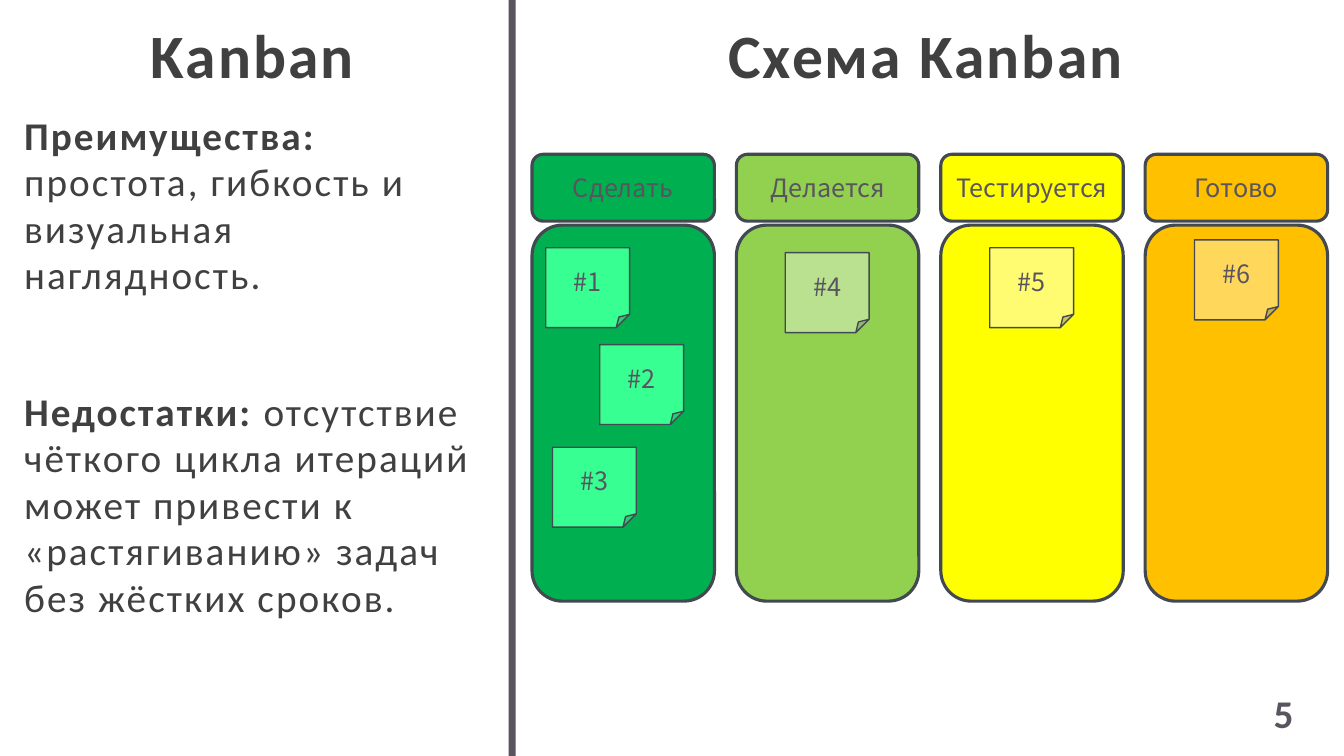
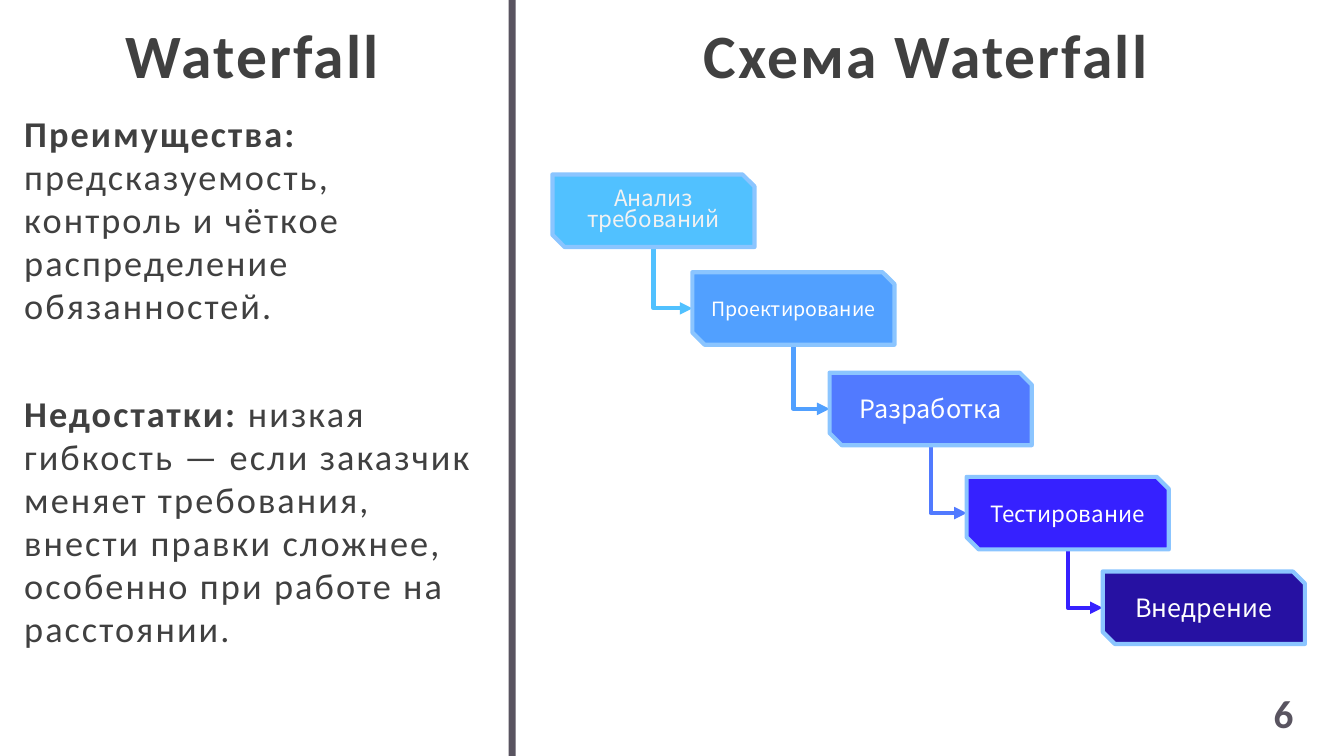
"""Builds two slides that compare the Kanban and Waterfall methods."""
from itertools import pairwise

from lxml import etree
from pptx import Presentation
from pptx.dml.color import RGBColor
from pptx.enum.shapes import MSO_CONNECTOR as Connector, MSO_SHAPE as Shape
from pptx.enum.text import MSO_ANCHOR as Anchor, MSO_AUTO_SIZE as AutoSize, PP_ALIGN as Align
from pptx.oxml.ns import qn
from pptx.util import Pt

DARK = RGBColor(0x40, 0x40, 0x40)
GREY = RGBColor(0x59, 0x54, 0x60)
OUTLINE = RGBColor(0x42, 0x49, 0x51)
WHITE = RGBColor(0xFF, 0xFF, 0xFF)
OFF_WHITE = RGBColor(0xF2, 0xF2, 0xF2)
PALE_BLUE = RGBColor(0x8B, 0xC5, 0xFF)
GREEN = RGBColor(0x00, 0xB0, 0x50)
LIME = RGBColor(0x92, 0xD0, 0x50)
YELLOW = RGBColor(0xFF, 0xFF, 0x00)
ORANGE = RGBColor(0xFF, 0xC0, 0x00)
GREEN_NOTE = RGBColor(0x37, 0xFF, 0x91)
LIME_NOTE = RGBColor(0xBA, 0xE1, 0x8F)
YELLOW_NOTE = RGBColor(0xFF, 0xFC, 0x71)
ORANGE_NOTE = RGBColor(0xFF, 0xD8, 0x5B)
SKY = RGBColor(0x51, 0xC1, 0xFF)
AZURE = RGBColor(0x51, 0xA0, 0xFF)
BLUE = RGBColor(0x51, 0x7A, 0xFF)
INDIGO = RGBColor(0x36, 0x21, 0xFF)
NAVY = RGBColor(0x26, 0x11, 0xA2)

HEADING = {"name": "Calibri", "size": Pt(44), "bold": True, "color": DARK}
BODY = {"name": "Calibri", "color": DARK}
NUMBER = {"name": "Calibri", "size": Pt(28), "bold": True, "color": GREY}
LABEL = {"name": "Noto Sans CJK JP", "size": Pt(18), "color": GREY}

TITLE_BOX = (8.64, 20.16, 343.44, 51.84)
SCHEME_BOX = (489.6, 20.16, 343.44, 51.84)
BODY_BOX = (8.64, 72, 343.44, 416.16)
NUMBER_BOX = (892.8, 488.9, 48.24, 41)
DIVIDER_BOX = (363.4, 0, 5, 540)

KANBAN = {
    "title": "Kanban", "scheme": "Схема Kanban", "number": "5", "size": 28, "gap": 58,
    "body": [
        ("Преимущества: ", "простота, гибкость и визуальная наглядность."),
        ("Недостатки: ", "отсутствие чёткого цикла итераций может привести к "
                         "«растягиванию» задач без жёстких сроков."),
    ],
}
WATERFALL = {
    "title": "Waterfall", "scheme": "Схема Waterfall", "number": "6", "size": 25.9, "gap": 40,
    "body": [
        ("Преимущества: ", "предсказуемость, контроль и чёткое распределение обязанностей."),
        ("Недостатки: ", "низкая гибкость — если заказчик меняет требования, внести правки "
                         "сложнее, особенно при работе на расстоянии."),
    ],
}
COLUMNS = [
    ("Сделать", GREEN, GREEN_NOTE, [("#1", 389.8, 177), ("#2", 428.4, 246.2), ("#3", 394.6, 319.5)]),
    ("Делается", LIME, LIME_NOTE, [("#4", 560.9, 180.5)]),
    ("Тестируется", YELLOW, YELLOW_NOTE, [("#5", 707, 177)]),
    ("Готово", ORANGE, ORANGE_NOTE, [("#6", 853.2, 171.4)]),
]
COLUMN_LEFT, COLUMN_STEP, COLUMN_WIDTH = 380, 146, 130.3
HEADER_TOP, HEADER_HEIGHT = 110.2, 47.8
LANE_TOP, LANE_HEIGHT = 160.8, 268.6
NOTE_WIDTH, NOTE_HEIGHT = 59.9, 57.1

STAGES = [
    (["Анализ", "требований"], 16, OFF_WHITE, SKY, 394.6, 124.6),
    (["Проектирование"], 14, WHITE, AZURE, 494.6, 194.4),
    (["Разработка"], 18, WHITE, BLUE, 592.6, 266.2),
    (["Тестирование"], 16, WHITE, INDIGO, 690.5, 340.6),
    (["Внедрение"], 18, WHITE, NAVY, 787.7, 408.2),
]
STAGE_WIDTH, STAGE_HEIGHT = 144.4, 51.8


def points(box):
    return [Pt(length) for length in box]


def format_font(font, style):
    for name, value in style.items():
        if name == "color":
            font.color.rgb = value
        else:
            setattr(font, name, value)


def write(frame, lines, style, align=Align.CENTER):
    """Each line is a list of (text, extra font format) runs."""
    for index, runs in enumerate(lines):
        paragraph = frame.paragraphs[0] if index == 0 else frame.add_paragraph()
        paragraph.alignment = align
        for text, extra in runs:
            run = paragraph.add_run()
            run.text = text
            format_font(run.font, {**style, **extra})


def add_box(slide, kind, box, fill, outline=None, width=0, lines=(), style=LABEL):
    shape = slide.shapes.add_shape(kind, *points(box))
    shape.shadow.inherit = False
    shape.fill.solid()
    shape.fill.fore_color.rgb = fill
    if outline is None:
        shape.line.fill.background()
    else:
        shape.line.color.rgb = outline
        shape.line.width = Pt(width)
    write(shape.text_frame, [[(line, {})] for line in lines], style)
    return shape


def format_frame(shape, anchor):
    settings = {
        "word_wrap": True, "auto_size": AutoSize.NONE, "vertical_anchor": anchor,
        "margin_left": Pt(8.64), "margin_right": Pt(8.64),
        "margin_top": Pt(8.64), "margin_bottom": Pt(7.2),
    }
    for name, value in settings.items():
        setattr(shape.text_frame, name, value)


def space_letters(shape):
    for properties in shape.element.iter(qn("a:rPr")):
        properties.set("spc", "150")


def add_heading(shape, text):
    format_frame(shape, Anchor.BOTTOM)
    write(shape.text_frame, [[(text, {})]], HEADING)
    space_letters(shape)


def add_body(slide, content):
    shape = slide.shapes.add_textbox(*points(BODY_BOX))
    format_frame(shape, Anchor.TOP)
    lines = [[(lead, {"bold": True}), (rest, {"bold": False})] for lead, rest in content["body"]]
    write(shape.text_frame, lines, {**BODY, "size": Pt(content["size"])}, Align.LEFT)
    space_letters(shape)
    for index, paragraph in enumerate(shape.text_frame.paragraphs):
        paragraph.line_spacing = 0.99
        paragraph.space_before = Pt(content["gap"] * index)
        paragraph.space_after = Pt(6)


def add_method_slide(presentation, content):
    slide = presentation.slides.add_slide(presentation.slide_layouts[5])
    add_box(slide, Shape.RECTANGLE, DIVIDER_BOX, GREY)
    title = slide.shapes.title
    title.left, title.top, title.width, title.height = points(TITLE_BOX)
    add_heading(title, content["title"])
    add_heading(slide.shapes.add_textbox(*points(SCHEME_BOX)), content["scheme"])
    add_body(slide, content)
    number = slide.shapes.add_textbox(*points(NUMBER_BOX)).text_frame
    number.word_wrap = True
    number.auto_size = AutoSize.SHAPE_TO_FIT_TEXT
    write(number, [[(content["number"], {})]], NUMBER)
    return slide


def add_board(slide):
    for index, (name, color, note_color, notes) in enumerate(COLUMNS):
        left = COLUMN_LEFT + index * COLUMN_STEP
        lane = (left, LANE_TOP, COLUMN_WIDTH, LANE_HEIGHT)
        header = (left, HEADER_TOP, COLUMN_WIDTH, HEADER_HEIGHT)
        add_box(slide, Shape.ROUNDED_RECTANGLE, lane, color, OUTLINE, 2.25)
        add_box(slide, Shape.ROUNDED_RECTANGLE, header, color, OUTLINE, 2.25, [name])
        for text, note_left, note_top in notes:
            note = (note_left, note_top, NOTE_WIDTH, NOTE_HEIGHT)
            add_box(slide, Shape.FOLDED_CORNER, note, note_color, OUTLINE, 1, [text])


def add_step_arrow(slide, start, end, color):
    """Draws an arrow that goes down from start, then right to end."""
    across, down = end[0] - start[0], end[1] - start[1]
    left = (start[0] + end[0] - down) / 2
    top = (start[1] + end[1] - across) / 2
    arrow = slide.shapes.add_connector(
        Connector.ELBOW, *points((left, top, left + down, top + across)))
    arrow.line.color.rgb = color
    arrow.line.width = Pt(3)
    properties = arrow.element.spPr
    transform = properties.find(qn("a:xfrm"))
    transform.set("rot", "16200000")
    transform.set("flipH", "1")
    properties.find(qn("a:prstGeom")).set("prst", "bentConnector2")
    etree.SubElement(properties.find(qn("a:ln")), qn("a:tailEnd")).set("type", "triangle")
    etree.SubElement(properties, qn("a:effectLst"))


def add_cascade(slide):
    for (*_, color, left, top), (*_, next_left, next_top) in pairwise(STAGES):
        start = (left + STAGE_WIDTH / 2, top + STAGE_HEIGHT)
        end = (next_left, next_top + STAGE_HEIGHT / 2)
        add_step_arrow(slide, start, end, color)
    for lines, size, text_color, color, left, top in STAGES:
        stage = add_box(
            slide, Shape.SNIP_2_DIAG_RECTANGLE, (left, top, STAGE_WIDTH, STAGE_HEIGHT),
            color, PALE_BLUE, 3, lines, {**LABEL, "size": Pt(size), "color": text_color})
        if len(lines) > 1:
            for paragraph in stage.text_frame.paragraphs:
                paragraph.line_spacing = 0.8


def main():
    presentation = Presentation()
    presentation.slide_width, presentation.slide_height = Pt(960), Pt(540)
    add_board(add_method_slide(presentation, KANBAN))
    add_cascade(add_method_slide(presentation, WATERFALL))
    presentation.save("out.pptx")


if __name__ == "__main__":
    main()
